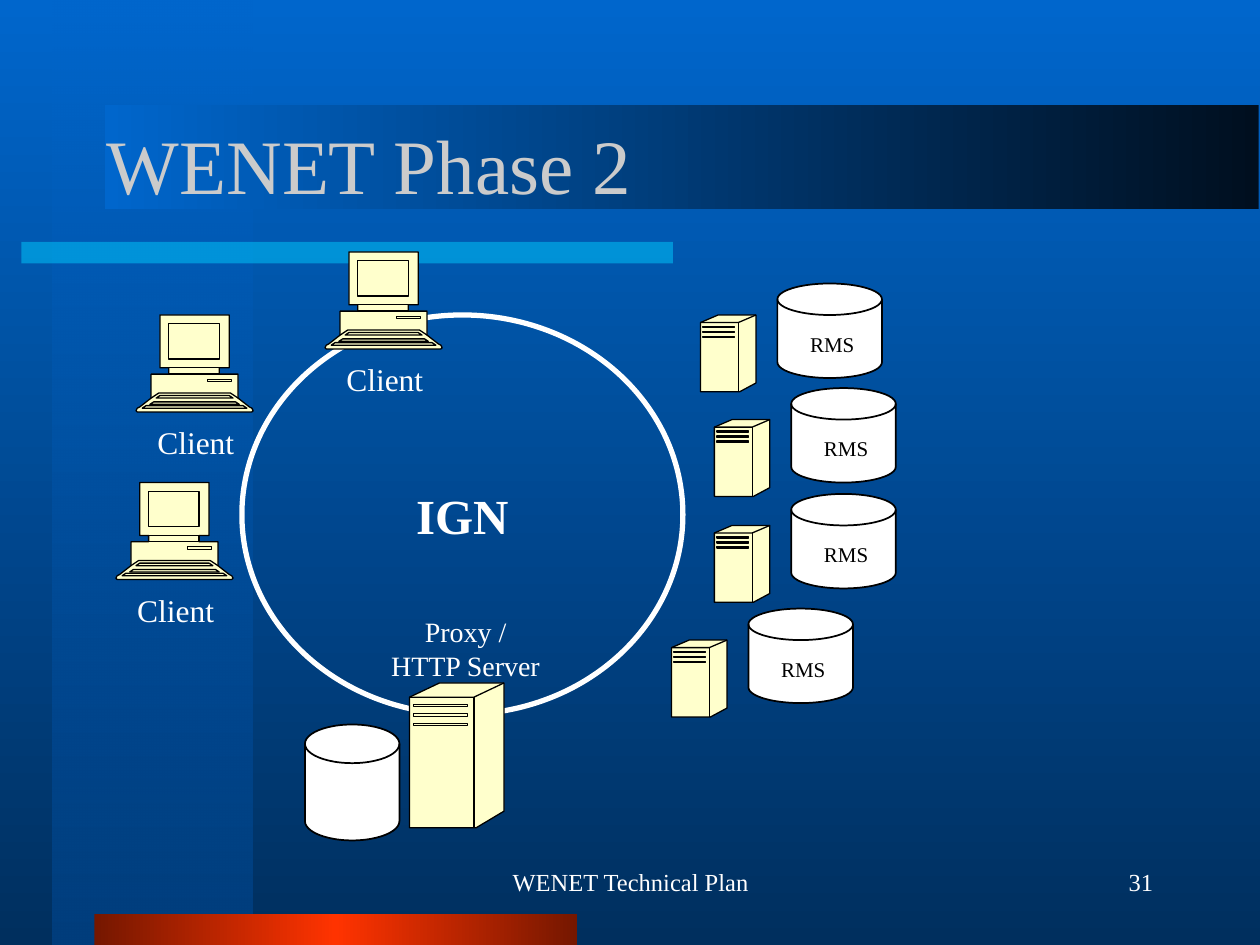
from copy import deepcopy

from lxml import etree
from pptx import Presentation
from pptx import util as u
from pptx.dml import color
from pptx.enum import shapes, text
from pptx.oxml import ns

COLORS = {
    "sky": "0066CC", "deep": "002F5E", "band": "003E7D", "night": "000F1F",
    "cyan": "00CCFF", "rust": "751700", "red": "FF3300", "silver": "CBCBCB",
    "white": "FFFFFF", "black": "000000", "cream": "FFFFCC",
}
RGB = {name: color.RGBColor.from_string(value) for name, value in COLORS.items()}
LEFT, CENTER, RIGHT = text.PP_ALIGN.LEFT, text.PP_ALIGN.CENTER, text.PP_ALIGN.RIGHT
DISK = shapes.MSO_SHAPE.FLOWCHART_MAGNETIC_DISK

COMPUTER = [
    ([(90, 73), (81, 66), (81, 47), (66, 47), (66, 42), (74, 42), (74, 0), (19, 0),
      (19, 42), (26, 42), (26, 47), (12, 47), (12, 66), (3, 73), (1, 74), (0, 76),
      (1, 77), (3, 77), (90, 77), (92, 77), (93, 76), (92, 74)], True),
    ([(77, 66), (74, 64), (19, 64), (16, 66)], True),
    ([(82, 71), (79, 69), (14, 69), (11, 71)], True),
    ([(88, 74), (85, 72), (8, 72), (5, 74)], True),
    ([(81, 66), (75, 62), (18, 62), (12, 66)], False),
]
for left, top, right, bottom in [(57, 51, 76, 53), (26, 7, 66, 35), (26, 42, 66, 47)]:
    COMPUTER.append(([(left, top), (right, top), (right, bottom), (left, bottom)], True))

SERVER = [
    ([(0, 6), (14, 0), (44, 0), (44, 54), (31, 61), (0, 61)], True),
    ([(0, 6), (30, 6), (44, 0)], False),
    ([(30, 6), (30, 61)], False),
]
for top in (9, 13, 17):
    SERVER.append(([(2, top), (27, top), (27, top + 1), (2, top + 1)], True))


def write(box, words, size, ink, align=LEFT, middle=False, wrap=False, bold=False):
    frame = box.text_frame
    layout = {
        "word_wrap": wrap,
        "vertical_anchor": text.MSO_ANCHOR.MIDDLE if middle else text.MSO_ANCHOR.TOP,
        "auto_size": text.MSO_AUTO_SIZE.NONE if middle else text.MSO_AUTO_SIZE.SHAPE_TO_FIT_TEXT,
    }
    for name, value in layout.items():
        setattr(frame, name, value)
    para = frame.paragraphs[0]
    para.text = words
    para.alignment = align
    style = {"name": "Times New Roman", "size": u.Pt(size), "bold": bold}
    for span in para.runs:
        for name, value in style.items():
            setattr(span.font, name, value)
        span.font.color.rgb = RGB[ink]


def draw_icon(parent, contours, x, y):
    points, closed = contours[0]
    builder = parent.build_freeform(*points[0], scale=u.Inches(0.01))
    builder.add_line_segments(points[1:], close=closed)
    for points, closed in contours[1:]:
        builder.move_to(*points[0])
        builder.add_line_segments(points[1:], close=closed)
    icon = builder.convert_to_shape(u.Inches(x), u.Inches(y))
    icon.shadow.inherit = False
    icon.fill.solid()
    icon.fill.fore_color.rgb = RGB["cream"]
    icon.line.color.rgb = RGB["black"]
    icon.line.width = u.Pt(0.75)

    body = next(icon._element.iter(ns.qn("a:path")))
    details = deepcopy(body)
    details.set("fill", "none")
    split = len(contours[0][0]) + 1
    for part in list(body)[split:]:
        body.remove(part)
    for part in list(details)[:split]:
        details.remove(part)
    body.addnext(details)
    return icon


deck = Presentation()
deck.slide_width, deck.slide_height = u.Inches(10), u.Inches(7.5)
page = deck.slides.add_slide(deck.slide_layouts[6])

bars = [
    ((0.42, 0, 1.58, 7.5), ("sky", "band"), 270),
    ((0.17, 1.92, 5.17, 0.17), ("cyan",), 0),
    ((0.75, 7.25, 3.83, 0.25), ("rust", "red", "rust"), 180),
    ((0.83, 0.83, 9.16, 0.83), ("night", "sky"), 180),
]
painted = [(page.background.fill, ("sky", "deep"), 270)]
bar_shapes = []
for place, tones, angle in bars:
    bar = page.shapes.add_shape(shapes.MSO_SHAPE.RECTANGLE, *map(u.Inches, place))
    bar.shadow.inherit = False
    bar.line.fill.background()
    bar_shapes.append(bar)
    painted.append((bar.fill, tones, angle))

for fill, tones, angle in painted:
    if len(tones) == 1:
        fill.solid()
        fill.fore_color.rgb = RGB[tones[0]]
        continue
    fill.gradient()
    fill.gradient_angle = angle
    for position, (stop, tone) in enumerate(zip(fill.gradient_stops, tones)):
        stop.color.rgb = RGB[tone]
        stop.position = position / (len(tones) - 1)

stops = next(bar_shapes[2]._element.iter(ns.qn("a:gsLst")))
last_stop = deepcopy(stops[0])
last_stop.set("pos", "100000")
stops.append(last_stop)
for bar in bar_shapes[:2]:
    tint = next(bar._element.iter(ns.qn("a:srgbClr")))
    etree.SubElement(tint, ns.qn("a:alpha"), val="50000")

title = page.shapes.add_textbox(*map(u.Inches, (0.75, 0.67, 8.5, 1.25)))
write(title, "WENET Phase 2", 44, "silver", middle=True, wrap=True)

network = page.shapes.add_shape(shapes.MSO_SHAPE.OVAL, *map(u.Inches, (1.92, 2.5, 3.5, 3.17)))
network.shadow.inherit = False
network.fill.background()
network.line.color.rgb = RGB["white"]
network.line.width = u.Pt(3)
write(network, "IGN", 28, "white", CENTER, middle=True, bold=True)

proxy = draw_icon(page.shapes, SERVER, 3.25, 5.42)
proxy.width, proxy.height = u.Inches(0.75), u.Inches(1.15)
disks = [page.shapes.add_shape(DISK, *map(u.Inches, (2.42, 5.75, 0.75, 0.92)))]
proxy_label = page.shapes.add_textbox(*map(u.Inches, (3, 4.83, 1.39, 0.64)))
write(proxy_label, "Proxy /\nHTTP Server", 16, "white", CENTER)

for x, y in [(1.08, 2.5), (0.92, 3.83), (2.58, 2)]:
    client = page.shapes.add_group_shape().shapes
    draw_icon(client, COMPUTER, x, y)
    label = client.add_textbox(*map(u.Inches, (x + 0.07, y + 0.81, 0.81, 0.4)))
    write(label, "Client", 18, "white")

for x, y in [(5.56, 2.5), (5.67, 3.33), (5.67, 4.17), (5.33, 5.08)]:
    station = page.shapes.add_group_shape().shapes
    draw_icon(station, SERVER, x, y)
    disks.append(station.add_shape(DISK, *map(u.Inches, (x + 0.61, y - 0.25, 0.83, 0.75))))
    label = station.add_textbox(*map(u.Inches, (x + 0.77, y + 0.08, 0.55, 0.3)))
    write(label, "RMS", 12, "black", CENTER)

for disk in disks:
    disk.shadow.inherit = False
    disk.fill.solid()
    disk.fill.fore_color.rgb = RGB["white"]
    disk.line.color.rgb = RGB["black"]
    disk.line.width = u.Pt(1)

footers = [
    ((3.42, 6.75, 3.17, 0.5), "WENET Technical Plan", CENTER),
    ((7.17, 6.75, 2.08, 0.5), "31", RIGHT),
]
for place, words, align in footers:
    footer = page.shapes.add_textbox(*map(u.Inches, place))
    write(footer, words, 14, "white", align, middle=True, wrap=True)

deck.save("out.pptx")
